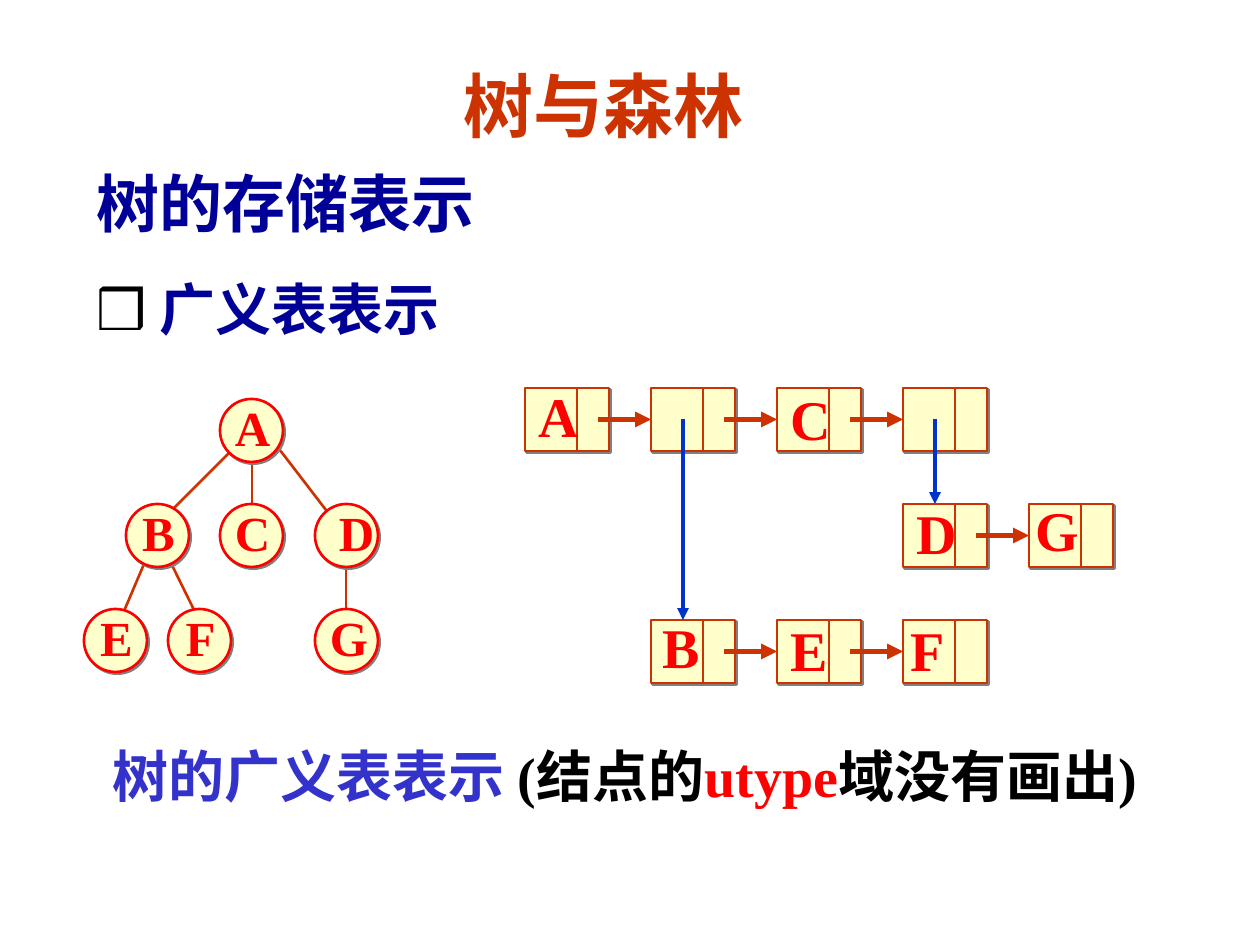
from dataclasses import dataclass

import lxml.etree
import pptx
import pptx.dml.color
import pptx.enum.shapes
import pptx.enum.text
import pptx.oxml
import pptx.oxml.ns
import pptx.util

SCALE = 914400 / 126
COLORS = {
    "title": "CC3300", "heading": "000099", "caption": "3333CC", "black": "000000",
    "red": "FF0000", "cream": "FFFFCC", "link": "0033CC", "shadow": "808080",
}
LATIN, CJK, SANS = "Times New Roman", "Noto Sans CJK SC", "Arial"
NODE, CELL_W, CELL_H = 63, 84, 63
DIVIDER, ARROW_START, LINK_X = 52, 73, 32
COL_X, COL_STEP = 525, 126
ROW_Y, ROW_STEP = 388, 116
SHAPES = pptx.enum.shapes.MSO_SHAPE
ALIGN = pptx.enum.text.PP_ALIGN
ANCHOR = pptx.enum.text.MSO_ANCHOR


@dataclass
class Node:
    text: str
    x: int
    y: int
    dx: int = 1


@dataclass
class Cell:
    col: int
    row: int
    text: str = ""
    dx: int = 0
    dy: int = 0


@dataclass
class Run:
    text: str
    color: str
    font: str = LATIN


EDGES = [
    (346, 557, 346, 630), (273, 441, 346, 536), (168, 557, 199, 620),
    (147, 557, 116, 630), (231, 451, 168, 514), (252, 451, 252, 514),
]
NODES = [
    Node("A", 220, 399), Node("B", 126, 504), Node("C", 220, 504),
    Node("D", 315, 504, 10), Node("E", 84, 609), Node("F", 168, 609),
    Node("G", 315, 609),
]
LISTS = [
    [Cell(0, 0, "A", 31, -4), Cell(1, 0), Cell(2, 0, "C", 31, -1), Cell(3, 0)],
    [Cell(3, 1, "D", 31, -3), Cell(4, 1, "G", 24, -6)],
    [Cell(1, 2, "B", 29, -5), Cell(2, 2, "E", 31, -2), Cell(3, 2, "F", 25, -2)],
]
LINKS = [(1, 2), (3, 1)]


def px(n: float) -> pptx.util.Emu:
    return pptx.util.Emu(round(n * SCALE))


def rgb(name: str) -> pptx.dml.color.RGBColor:
    return pptx.dml.color.RGBColor.from_string(COLORS[name])


def sub(parent, tag: str, **attrs):
    return lxml.etree.SubElement(parent, pptx.oxml.ns.qn(tag), attrs)


def add_line(s, x1: float, y1: float, x2: float, y2: float, color: str = "title",
             width: float = 1.5, arrow: bool = False):
    line = s.shapes.add_connector(
        pptx.enum.shapes.MSO_CONNECTOR.STRAIGHT, px(x1), px(y1), px(x2), px(y2))
    line.line.color.rgb = rgb(color)
    line.line.width = pptx.util.Pt(width)
    if arrow:
        sub(line.line._get_or_add_ln(), "a:tailEnd", type="triangle")
    sub(line._element.spPr, "a:effectLst")
    return line


def add_shape(s, kind, x: int, y: int, w: int, h: int, color: str):
    sp = s.shapes.add_shape(kind, px(x), px(y), px(w), px(h))
    sp.fill.solid()
    sp.fill.fore_color.rgb = rgb("cream")
    sp.line.color.rgb = rgb(color)
    sp.line.width = pptx.util.Pt(1.5)
    sp.shadow.inherit = False
    effects = sp._element.spPr.find(pptx.oxml.ns.qn("a:effectLst"))
    shadow = sub(effects, "a:outerShdw", dist="17961", dir="2700000",
                 algn="ctr", rotWithShape="0")
    sub(shadow, "a:srgbClr", val=COLORS["shadow"])
    return sp


def add_text(s, x: float, y: float, w: int, h: int, size: int, lines: list[list[Run]],
             align=ALIGN.LEFT, anchor=ANCHOR.TOP, wrap: bool = True,
             gap: int = 0) -> None:
    tf = s.shapes.add_textbox(px(x), px(y), px(w), px(h)).text_frame
    tf.word_wrap = wrap
    tf.vertical_anchor = anchor
    for i, runs in enumerate(lines):
        p = tf.add_paragraph() if i else tf.paragraphs[0]
        p.alignment = align
        if i:
            p.space_before = pptx.util.Pt(gap)
        p.font.size = pptx.util.Pt(size - 4 * i)
        p.font.bold = True
        for run in runs:
            r = p.add_run()
            r.text = run.text
            r.font.color.rgb = rgb(run.color)
            r.font.name = run.font
            sub(r.font._element, "a:ea", typeface=CJK)


def add_label(s, text: str, cx: float, cy: float, size: int) -> None:
    w, h = 60, 2.5 * size
    add_text(s, cx - w / 2, cy - h / 2, w, h, size, [[Run(text, "red")]],
             ALIGN.CENTER, ANCHOR.MIDDLE, False)


def draw_tree(s) -> None:
    for edge in EDGES:
        add_line(s, *edge)
    for node in NODES:
        add_shape(s, SHAPES.OVAL, node.x, node.y, NODE, NODE, "red")
    for node in NODES:
        add_label(s, node.text, node.x + NODE / 2 + node.dx, node.y + NODE / 2 - 4, 28)


def draw_list(s, cells: list[Cell]) -> None:
    for i, cell in enumerate(cells):
        x, y = COL_X + cell.col * COL_STEP, ROW_Y + cell.row * ROW_STEP
        mid = y + CELL_H / 2
        sp = add_shape(s, SHAPES.RECTANGLE, x, y, CELL_W, CELL_H, "title")
        add_line(s, x + DIVIDER, y, x + DIVIDER, y + CELL_H)
        if i:
            arrow = add_line(s, x - COL_STEP + ARROW_START, mid, x, mid, width=3, arrow=True)
            arrow.end_connect(sp, 1)
        if cell.text:
            add_label(s, cell.text, x + cell.dx, mid + cell.dy, 32)


def main() -> None:
    prs = pptx.Presentation()
    prs.slide_width, prs.slide_height = px(1260), px(945)
    s = prs.slides.add_slide(prs.slide_layouts[6])
    add_text(s, 451, 63, 410, 84, 40, [[Run("树与森林", "title")]], anchor=ANCHOR.MIDDLE)
    add_text(s, 84, 158, 819, 190, 36, [
        [Run("树的存储表示", "heading", CJK)],
        [Run("❒ ", "black", SANS), Run("广义表表示", "heading", CJK)],
    ], gap=20)
    draw_tree(s)
    for cells in LISTS:
        draw_list(s, cells)
    for col, row in LINKS:
        x = COL_X + col * COL_STEP + LINK_X
        add_line(s, x, ROW_Y + CELL_H / 2, x, ROW_Y + row * ROW_STEP, "link", 2.25, True)
    add_text(s, 74, 735, 1102, 147, 32, [[
        Run("树的广义表表示 ", "caption"), Run("(结点的", "black"),
        Run("utype", "red"), Run("域没有画出)", "black"),
    ]], ALIGN.CENTER)
    prs.save("out.pptx")


if __name__ == "__main__":
    main()
